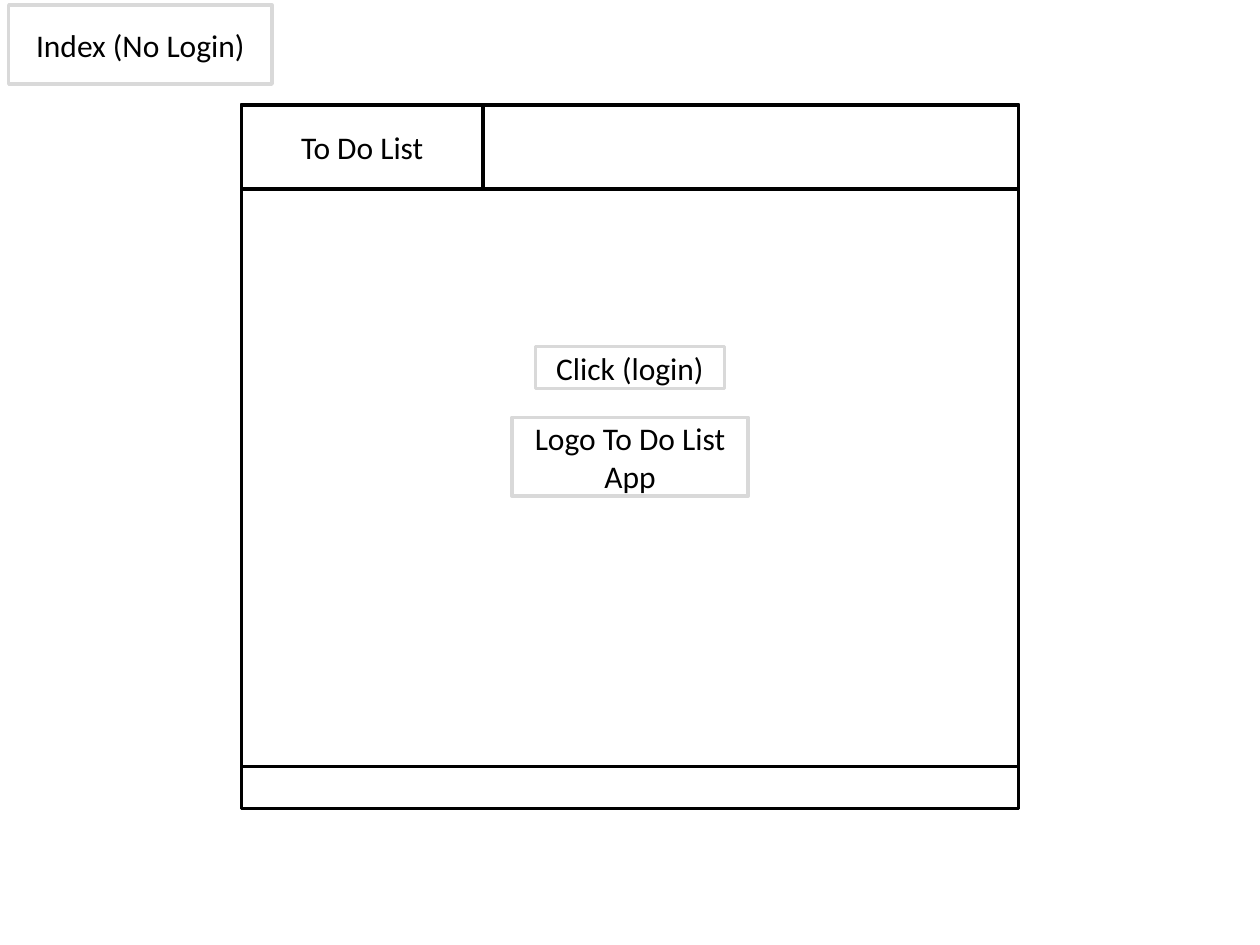
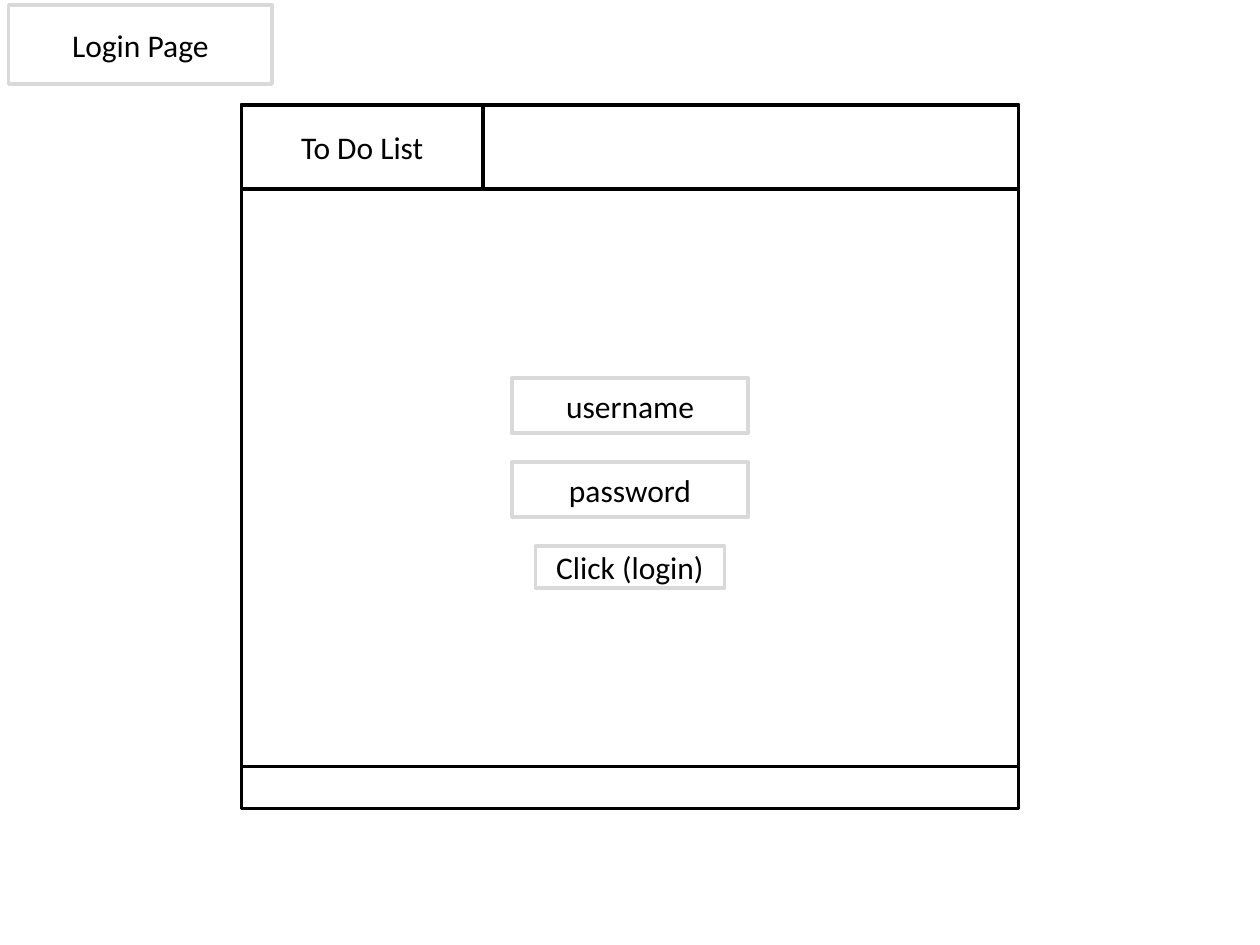
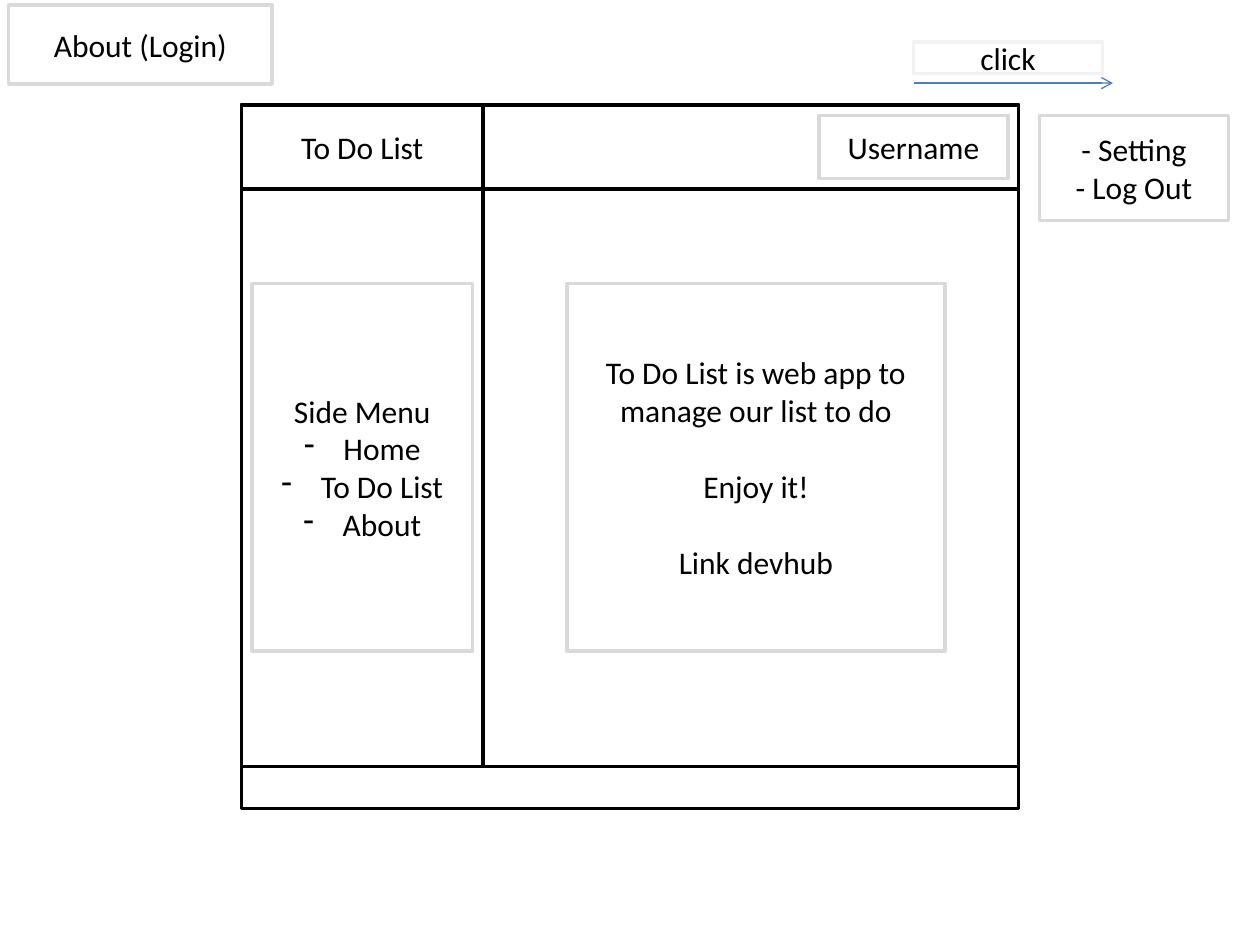
from lxml.etree import SubElement
from pptx import Presentation
from pptx.dml.color import RGBColor
from pptx.enum.shapes import MSO_CONNECTOR, MSO_SHAPE
from pptx.enum.text import MSO_ANCHOR, MSO_AUTO_SIZE, PP_ALIGN
from pptx.oxml.ns import qn
from pptx.util import Pt

COLORS = {"ink": "000000", "gray": "D9D9D9", "pale": "F2F2F2", "blue": "4B7EBC"}
FONT = {"name": "Calibri", "size": Pt(18), "bold": False}
FRAME = {"word_wrap": True, "auto_size": MSO_AUTO_SIZE.NONE,
         "vertical_anchor": MSO_ANCHOR.MIDDLE}

# Shared layout, in points: left, top, width, height
LABEL = (5, 3, 150.5, 45)
WINDOW = (138, 60, 444, 402)
HEAD, FOOT, SIDE = 48, 24, 138
GAP = 16.5
BUTTON = ("Click (login)", 108, 24)


def color(key):
    return RGBColor.from_string(COLORS[key])


def style(item, values):
    for name, value in values.items():
        setattr(item, name, value)


def write(shape, lines, gap=0):
    """Centre the lines, with a gap before all but the first."""
    frame = shape.text_frame
    style(frame, FRAME)
    frame.text = "\n".join(lines)
    for i, para in enumerate(frame.paragraphs):
        style(para, {"alignment": PP_ALIGN.CENTER,
                     "space_before": Pt(gap if i else 0)})
        for run in para.runs:
            style(run.font, FONT)
            run.font.color.rgb = color("ink")


def outline(shape, key):
    shape.fill.background()
    shape.line.color.rgb = color(key)
    shape.line.width = Pt(2)


def block(slide, box, lines=(), key="gray", gap=0):
    shape = slide.shapes.add_shape(MSO_SHAPE.RECTANGLE, *map(Pt, box))
    shape.shadow.inherit = False
    outline(shape, key)
    if lines:
        write(shape, lines, gap)
    return shape


def dash(para):
    """Give a paragraph a hanging dash bullet."""
    props = para._p.get_or_add_pPr()
    props.set("marL", str(Pt(22.5)))
    props.set("indent", str(-Pt(22.5)))
    SubElement(props, qn("a:buFontTx"))
    SubElement(props, qn("a:buChar"), char="-")


def arrow(slide, left, right, top):
    line = slide.shapes.add_connector(
        MSO_CONNECTOR.STRAIGHT, Pt(left), Pt(top), Pt(right), Pt(top))
    line.line.color.rgb = color("blue")
    line.line.width = Pt(0.75)
    SubElement(line.line._get_or_add_ln(), qn("a:tailEnd"), type="arrow")
    SubElement(line._element.spPr, qn("a:effectLst"))


def label(slide, box, text):
    """Page name, in the title placeholder."""
    title = slide.shapes.title
    style(title, dict(zip(("left", "top", "width", "height"), map(Pt, box))))
    outline(title, "gray")
    write(title, [text])


def window(slide, box, side=False):
    """App window: header, brand cell, optional side column and footer."""
    x, y, w, h = box
    block(slide, box, key="ink")
    block(slide, (x, y, w, HEAD), key="ink")
    block(slide, (x, y, SIDE, HEAD), ["To Do List"], "ink")
    if side:
        block(slide, (x, y + HEAD, SIDE, h - HEAD - FOOT), key="ink")
    block(slide, (x, y + h - FOOT, w, FOOT), key="ink")


def stack(slide, box, top, items):
    """Fields centred in the window, one below another."""
    x, y, w, _ = box
    y += top
    for text, wide, high in items:
        block(slide, (x + (w - wide) / 2, y, wide, high), [text])
        y += high + GAP


def about(slide, box):
    """Side menu and text panel."""
    x, y, w, _ = box
    top, high = y + 102, 210
    block(slide, (x + SIDE + 48, top, 216, high),
          ["To Do List is web app to manage our list to do",
           "Enjoy it!", "Link devhub"], gap=22)
    menu = block(slide, (x + 6, top, SIDE - 12, high),
                 ["Side Menu", "Home", "To Do List", "About"])
    for para in menu.text_frame.paragraphs[1:]:
        dash(para)


def account(slide, box):
    """User button, its drop-down and the click hint."""
    x, y, w, _ = box
    end = x + w
    block(slide, (end - 114, y + 6, 108, HEAD - 12), ["Username"])
    block(slide, (end + 12, y + 6, 108, 60), ["- Setting", "- Log Out"])
    arrow(slide, end - 60, end + 54, y - 12.5)
    block(slide, (end - 60, y - 36, 108, 18), ["click"], "pale")


def page(deck, name, side=False):
    slide = deck.slides.add_slide(deck.slide_layouts[5])
    label(slide, LABEL, name)
    window(slide, WINDOW, side)
    return slide


deck = Presentation()
style(deck, {"slide_width": Pt(720), "slide_height": Pt(540)})

# Index
home = page(deck, "Index (No Login)")
stack(home, WINDOW, 138, [BUTTON, ("Logo To Do List App", 135, 45)])

# Login
login = page(deck, "Login Page")
stack(login, WINDOW, 156,
      [("username", 135, 31.5), ("password", 135, 31.5), BUTTON])

# About
info = page(deck, "About (Login)", side=True)
about(info, WINDOW)
account(info, WINDOW)

deck.save("out.pptx")
